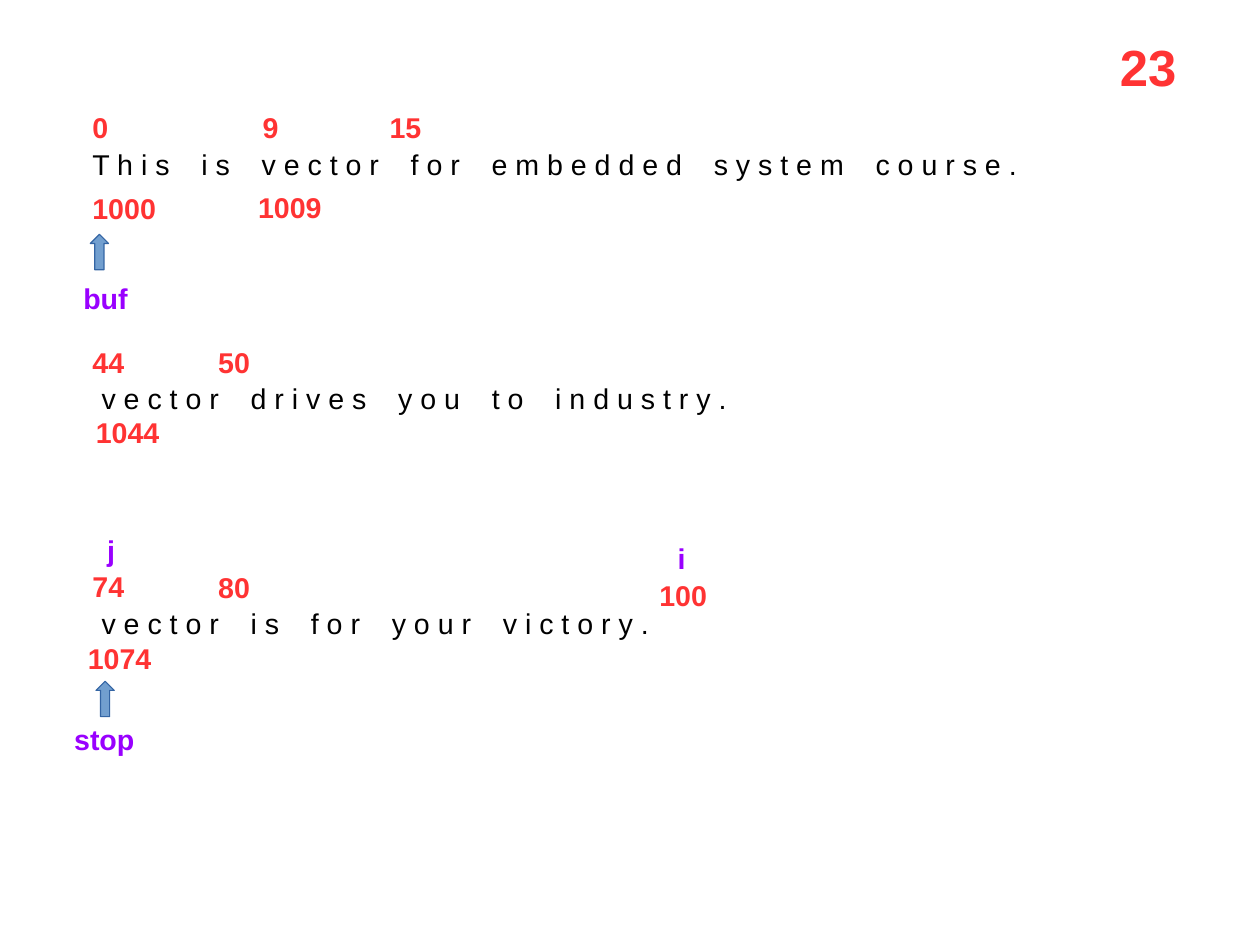
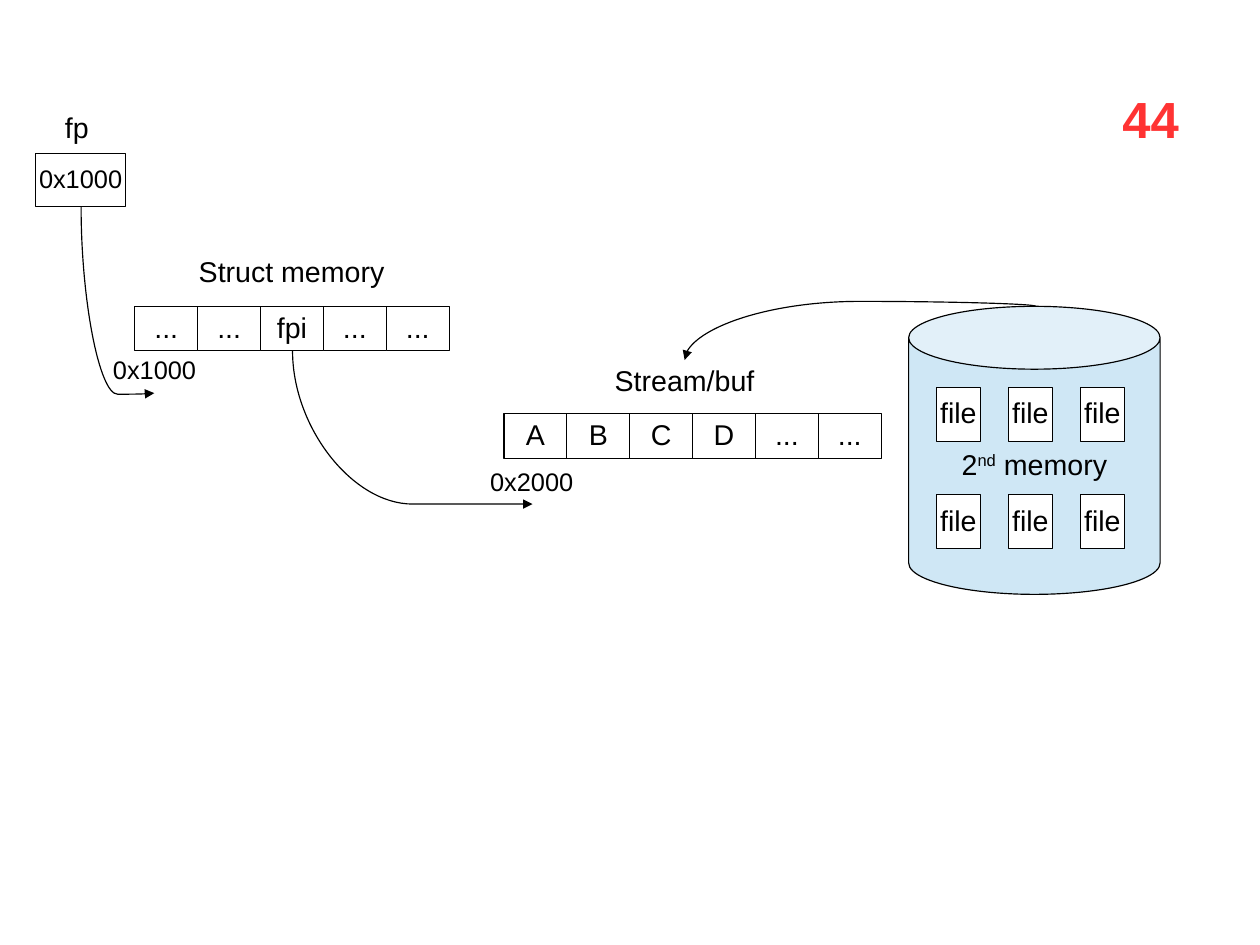
from lxml import etree
from pptx import Presentation
from pptx.dml.color import RGBColor
from pptx.enum.shapes import MSO_CONNECTOR, MSO_SHAPE
from pptx.enum.text import MSO_ANCHOR, PP_ALIGN
from pptx.oxml.ns import qn
from pptx.util import Inches, Pt

RECTANGLE = MSO_SHAPE.RECTANGLE
CAN = MSO_SHAPE.CAN
UP_ARROW = MSO_SHAPE.UP_ARROW
CURVE = MSO_CONNECTOR.CURVE
LEFT, CENTER = PP_ALIGN.LEFT, PP_ALIGN.CENTER
TOP, MIDDLE = MSO_ANCHOR.TOP, MSO_ANCHOR.MIDDLE

FONT = "Arial"
BLACK = RGBColor(0x00, 0x00, 0x00)
WHITE = RGBColor(0xFF, 0xFF, 0xFF)
RED = RGBColor(0xFF, 0x33, 0x33)
PURPLE = RGBColor(0x99, 0x00, 0xFF)
PALE_BLUE = RGBColor(0xCF, 0xE7, 0xF5)
ARROW_FILL = RGBColor(0x72, 0x9F, 0xCF)
ARROW_LINE = RGBColor(0x34, 0x65, 0xA4)
LINE_WIDTH = Pt(0.75)
TEXT_HEIGHT = 0.4
CM_PER_INCH = 2.54


def add_shape(slide, kind, left, top, width, height, fill=WHITE, line=BLACK):
    shape = slide.shapes.add_shape(kind, Inches(left), Inches(top), Inches(width), Inches(height))
    shape.shadow.inherit = False
    shape.fill.solid()
    shape.fill.fore_color.rgb = fill
    shape.line.color.rgb = line
    shape.line.width = LINE_WIDTH
    return shape


def write(shape, text, size=18, color=BLACK, bold=False, align=LEFT, anchor=TOP, wrap=False):
    frame = shape.text_frame
    frame.word_wrap = wrap
    frame.vertical_anchor = anchor
    paragraph = frame.paragraphs[0]
    paragraph.alignment = align
    paragraph.line_spacing = 0.94
    for index, part in enumerate(text.split("^")):
        run = paragraph.add_run()
        run.text = part
        run.font.name = FONT
        run.font.size = Pt(size)
        run.font.bold = bold
        run.font.color.rgb = color
        if index % 2:
            run.font._element.set("baseline", "33000")


presentation = Presentation()
presentation.slide_width = Inches(28 / CM_PER_INCH)
presentation.slide_height = Inches(21 / CM_PER_INCH)
blank_layout = presentation.slide_layouts[6]

slides = []
for number, left, top in [("23", 9.7, 0.31), ("44", 9.72, 0.76)]:
    slide = presentation.slides.add_slide(blank_layout)
    box = slide.shapes.add_textbox(Inches(left), Inches(top), Inches(0.71), Inches(0.63))
    write(box, number, size=32, color=RED, bold=True, wrap=True)
    slides.append(slide)
vector_slide, stream_slide = slides

sentences = [
    ("This is vector for embedded system course.", 0.71, 1.26, 8.31),
    ("vector drives you to industry.", 0.79, 3.31, 5.69),
    ("vector is for your victory.", 0.79, 5.28, 5.01),
]
for sentence, left, top, width in sentences:
    spaced = "    ".join(" ".join(word) for word in sentence.split())
    box = vector_slide.shapes.add_textbox(Inches(left), Inches(top), Inches(width), Inches(TEXT_HEIGHT))
    write(box, spaced)

positions = [
    ("0", 0.71, 0.94), ("9", 2.2, 0.94), ("15", 3.31, 0.94),
    ("1000", 0.71, 1.65), ("1009", 2.16, 1.64),
    ("44", 0.71, 2.99), ("50", 1.81, 2.99), ("1044", 0.74, 3.61),
    ("74", 0.71, 4.95), ("80", 1.81, 4.96), ("100", 5.67, 5.03),
    ("1074", 0.67, 5.58),
]
for digits, left, top in positions:
    width = 0.2 + 0.14 * len(digits)
    box = vector_slide.shapes.add_textbox(Inches(left), Inches(top), Inches(width), Inches(TEXT_HEIGHT))
    write(box, digits, color=RED, bold=True)

variables = [
    ("buf", 0.63, 2.43, 0.59), ("j", 0.84, 4.64, 0.27),
    ("i", 5.83, 4.71, 0.27), ("stop", 0.55, 6.29, 0.85),
]
for name, left, top, width in variables:
    box = vector_slide.shapes.add_textbox(Inches(left), Inches(top), Inches(width), Inches(TEXT_HEIGHT))
    write(box, name, color=PURPLE, bold=True, wrap=name == "stop")

for left, top in [(0.79, 2.05), (0.84, 5.96)]:
    add_shape(vector_slide, UP_ARROW, left, top, 0.16, 0.31, ARROW_FILL, ARROW_LINE)

disk = add_shape(stream_slide, CAN, 7.95, 2.68, 2.2, 2.52, PALE_BLUE)
disk.adjustments[0] = 0.25
write(disk, "2^nd^ memory", align=CENTER, anchor=MIDDLE)

cell_rows = [
    (["0x1000"], 0.31, 1.34, 0.79, 0.47, 0.79, 16),
    (["...", "...", "fpi", "...", "..."], 1.18, 2.68, 0.55, 0.39, 0.55, 18),
    (["A", "B", "C", "D", "...", "..."], 4.41, 3.62, 0.55, 0.39, 0.55, 18),
    (["file"] * 3, 8.19, 3.39, 0.39, 0.47, 0.63, 18),
    (["file"] * 3, 8.19, 4.33, 0.39, 0.47, 0.63, 18),
]
for texts, left, top, width, height, step, size in cell_rows:
    for column, text in enumerate(texts):
        cell = add_shape(stream_slide, RECTANGLE, left + column * step, top, width, height)
        write(cell, text, size=size, align=CENTER, anchor=MIDDLE)

labels = [
    ("fp", 0.47, 0.94, 0.41, 18), ("Struct memory", 1.64, 2.2, 1.85, 18),
    ("Stream/buf", 5.28, 3.15, 1.43, 18),
    ("0x1000", 0.89, 3.07, 0.93, 16), ("0x2000", 4.19, 4.05, 0.93, 16),
]
for text, left, top, width, size in labels:
    box = stream_slide.shapes.add_textbox(Inches(left), Inches(top), Inches(width), Inches(TEXT_HEIGHT))
    write(box, text, size=size)

pointers = [
    (0.71, 1.81, 1.35, 3.44, 100600),
    (2.56, 3.07, 4.66, 4.41, 100000),
    (9.06, 2.68, 5.99, 3.15, -9200),
]
for start_x, start_y, end_x, end_y, bend in pointers:
    center_x, center_y = (start_x + end_x) / 2, (start_y + end_y) / 2
    half_width, half_height = abs(end_y - start_y) / 2, abs(end_x - start_x) / 2
    pointer = stream_slide.shapes.add_connector(
        CURVE,
        Inches(center_x - half_width), Inches(center_y - half_height),
        Inches(center_x + half_width), Inches(center_y + half_height),
    )
    pointer.line.color.rgb = BLACK
    pointer.line.width = LINE_WIDTH
    properties = pointer.element.spPr
    transform = properties.find(qn("a:xfrm"))
    if end_x > start_x:
        transform.set("rot", str(270 * 60000))
        transform.set("flipH", "1")
    else:
        transform.set("rot", str(90 * 60000))
    geometry = properties.find(qn("a:prstGeom"))
    adjustments = geometry.find(qn("a:avLst"))
    if adjustments is None:
        adjustments = etree.SubElement(geometry, qn("a:avLst"))
    etree.SubElement(adjustments, qn("a:gd"), name="adj1", fmla=f"val {bend}")
    etree.SubElement(properties.find(qn("a:ln")), qn("a:tailEnd"), type="triangle")
    etree.SubElement(properties, qn("a:effectLst"))

presentation.save("out.pptx")
